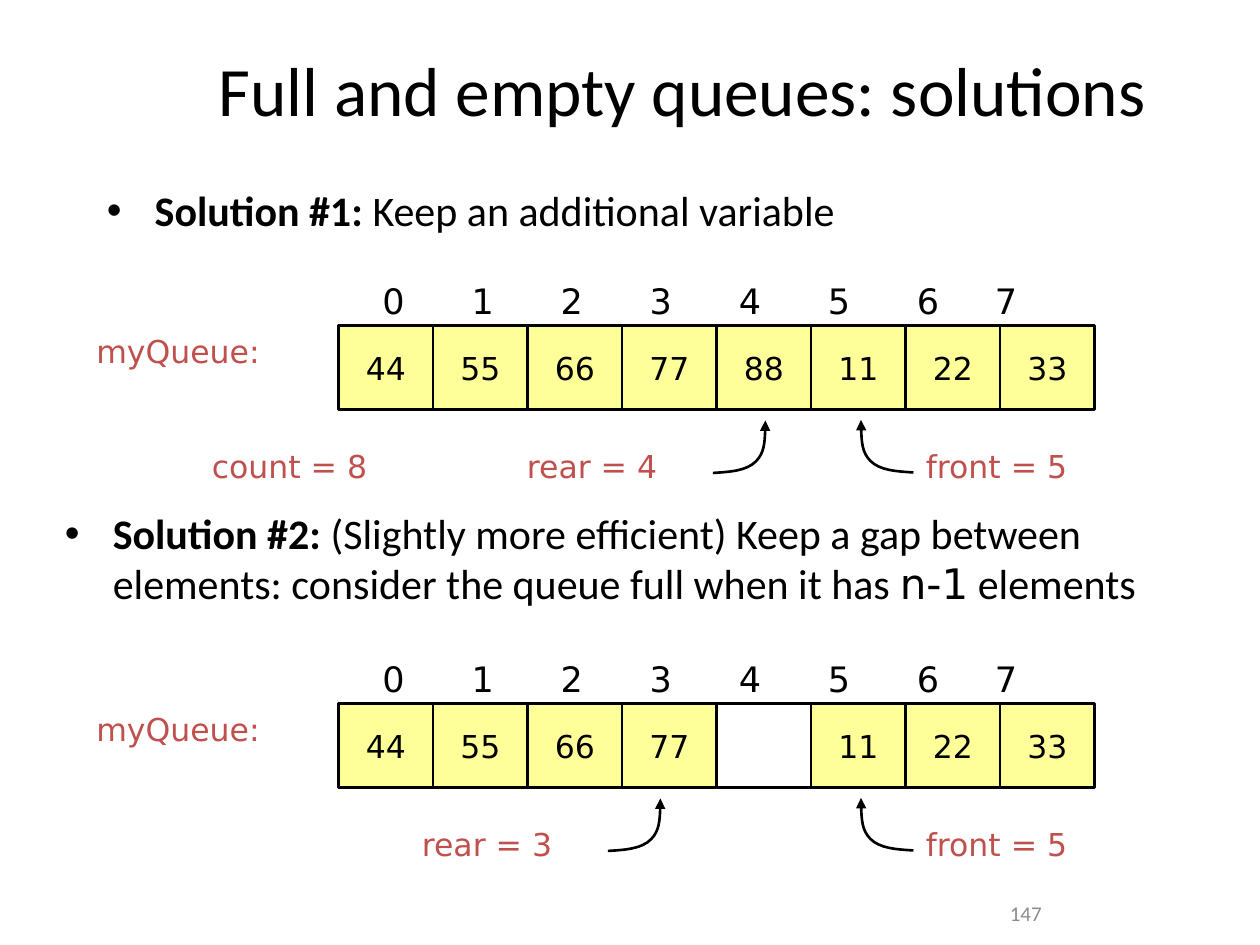
from lxml.etree import SubElement
from pptx import Presentation
from pptx.dml.color import RGBColor
from pptx.enum.shapes import MSO_SHAPE
from pptx.enum.text import MSO_ANCHOR, MSO_AUTO_SIZE, PP_ALIGN
from pptx.oxml.ns import qn
from pptx.util import Inches, Pt

BLACK = RGBColor(0x00, 0x00, 0x00)
RED = RGBColor(0xC0, 0x50, 0x4D)
GRAY = RGBColor(0x8C, 0x8C, 0x8C)
YELLOW = RGBColor(0xFF, 0xFF, 0x99)
SANS, MONO = "Calibri", "DejaVu Sans"
RECT = MSO_SHAPE.RECTANGLE
MIDDLE, TOP = MSO_ANCHOR.MIDDLE, MSO_ANCHOR.TOP
CENTER = PP_ALIGN.CENTER
FIXED = MSO_AUTO_SIZE.NONE

COLS, ROWS = 120, 90
CELL_W, CELL_H = 9, 8
LEFT = 32.25
BEND = [(1.67, 0.1), (3.2, 0.2), (4.1, 1.1), (4.9, 1.9), (5, 3.5), (5, 5)]
BODY = {"size": Pt(24), "name": SANS}
LABEL = {"size": Pt(18), "name": MONO, "color": RED}
VALUE = {"size": Pt(18), "name": MONO}
INDEX = {"size": Pt(20), "name": MONO}


def grid(*units):
    """Turn grid units, twelve to the inch, into lengths."""
    return [Inches(unit / 12) for unit in units]


def style(font, color=BLACK, **form):
    """Set the colour and other format values of a font."""
    font.color.rgb = color
    for key, value in form.items():
        setattr(font, key, value)


def add_text(shapes, box, text, form, anchor=TOP, wrap=True):
    """Add a text box and return its paragraph."""
    frame = shapes.add_textbox(*grid(*box)).text_frame
    frame.word_wrap = wrap
    frame.vertical_anchor = anchor
    par = frame.paragraphs[0]
    if text:
        run = par.add_run()
        run.text = text
        style(run.font, **form)
    return par


def add_bullet(shapes, box, runs):
    """Add a bulleted paragraph of formatted runs."""
    par = add_text(shapes, box, "", BODY)
    props = par._p.get_or_add_pPr()
    indent = Inches(0.38)
    props.set("marL", str(indent))
    props.set("indent", str(-indent))
    SubElement(props, qn("a:buFont"), typeface="Arial")
    SubElement(props, qn("a:buChar"), char="•")
    for text, form in runs:
        run = par.add_run()
        run.text = text
        style(run.font, **{**BODY, **form})


def add_cell(shapes, col, top, value):
    """Add one array cell, left unfilled when it has no value."""
    box = grid(LEFT + col * CELL_W, top, CELL_W, CELL_H)
    cell = shapes.add_shape(RECT, *box)
    cell.shadow.inherit = False
    cell.line.color.rgb = BLACK
    cell.line.width = Pt(1.5)
    if not value:
        cell.fill.background()
        return
    cell.fill.solid()
    cell.fill.fore_color.rgb = YELLOW
    frame = cell.text_frame
    frame.word_wrap = False
    frame.vertical_anchor = MIDDLE
    par = frame.paragraphs[0]
    par.alignment = CENTER
    run = par.add_run()
    run.text = value
    style(run.font, **VALUE)


def add_index(shapes, top, count):
    """Add the index numbers, spread by tab stops."""
    text = "\t".join(str(num) for num in range(count))
    par = add_text(shapes, (LEFT + 3, top, 69.75, 5.2), text, INDEX)
    tabs = SubElement(par._p.get_or_add_pPr(), qn("a:tabLst"))
    stops = [0.707 * num for num in range(1, count - 1)] + [4.86]
    for stop in stops:
        SubElement(tabs, qn("a:tab"), pos=str(Inches(stop)), algn="l")


def add_curve(shapes, left, top, side):
    """Add a curved arrow that rises to the given side."""
    build = shapes.build_freeform(*grid(left, top))
    spots = [grid(left + side * dx, top - dy) for dx, dy in BEND]
    build.add_line_segments(spots, close=False)
    curve = build.convert_to_shape()
    curve.shadow.inherit = False
    curve.fill.background()
    curve.line.color.rgb = BLACK
    curve.line.width = Pt(1.5)
    path = next(curve._element.iter(qn("a:path")))
    lines = path.findall(qn("a:lnTo"))
    for start in range(0, len(lines), 3):
        cubic = SubElement(path, qn("a:cubicBezTo"))
        for line in lines[start:start + 3]:
            cubic.append(line[0])
            path.remove(line)
    ends = curve.line._get_or_add_ln()
    SubElement(ends, qn("a:tailEnd"), type="triangle", w="med", len="med")


def add_queue(slide, top, values, rear, rear_left):
    """Add a queue with its indexes, name and two pointers."""
    shapes = slide.shapes.add_group_shape().shapes
    for col, value in enumerate(values):
        add_cell(shapes, col, top, value)
    add_index(shapes, top - 5, len(values))
    add_text(shapes, (8, top, 23.5, 6), "myQueue:", LABEL, wrap=False)
    for left, text in ((rear_left, f"rear = {rear}"), (87, "front = 5")):
        add_text(shapes, (left, top + 11, 22, 6), text, LABEL)
    add_curve(shapes, rear_left + 18.9, top + 14.05, 1)
    add_curve(shapes, 87, top + 14, -1)
    return shapes


def add_title(slide, text):
    """Place and format the title."""
    title = slide.shapes.title
    title.left, title.top, title.width, title.height = grid(17, 3, 96, 11)
    frame = title.text_frame
    frame.auto_size = FIXED
    frame.vertical_anchor = MIDDLE
    frame.text = text
    par = frame.paragraphs[0]
    par.alignment = CENTER
    style(par.runs[0].font, size=Pt(39.6), name=SANS)


def main():
    """Build the slide and save it."""
    deck = Presentation()
    deck.slide_width, deck.slide_height = grid(COLS, ROWS)
    slide = deck.slides.add_slide(deck.slide_layouts[5])
    shapes = slide.shapes
    add_title(slide, "Full and empty queues: solutions")
    note = {"size": Pt(12), "name": SANS, "color": GRAY}
    add_text(shapes, (95, 84, 25, 6), "147", note, MIDDLE)
    add_bullet(shapes, (9, 17, 102, 8), [
        ("Solution #1:", {"bold": True}),
        (" Keep an additional variable", {}),
    ])
    add_bullet(shapes, (5, 47.75, 112.5, 14.9), [
        ("Solution #2:", {"bold": True}),
        (" (Slightly more efficient) Keep a gap between elements: "
         "consider the queue full when it has ", {}),
        ("n-1", {"name": MONO}),
        (" elements", {}),
    ])
    full = ["44", "55", "66", "77", "88", "11", "22", "33"]
    gap = ["" if value == "88" else value for value in full]
    first = add_queue(slide, 31, full, 4, 49)
    add_text(first, (19, 42, 30, 6), "count = 8", LABEL)
    add_queue(slide, 67, gap, 3, 39)
    deck.save("out.pptx")


if __name__ == "__main__":
    main()
